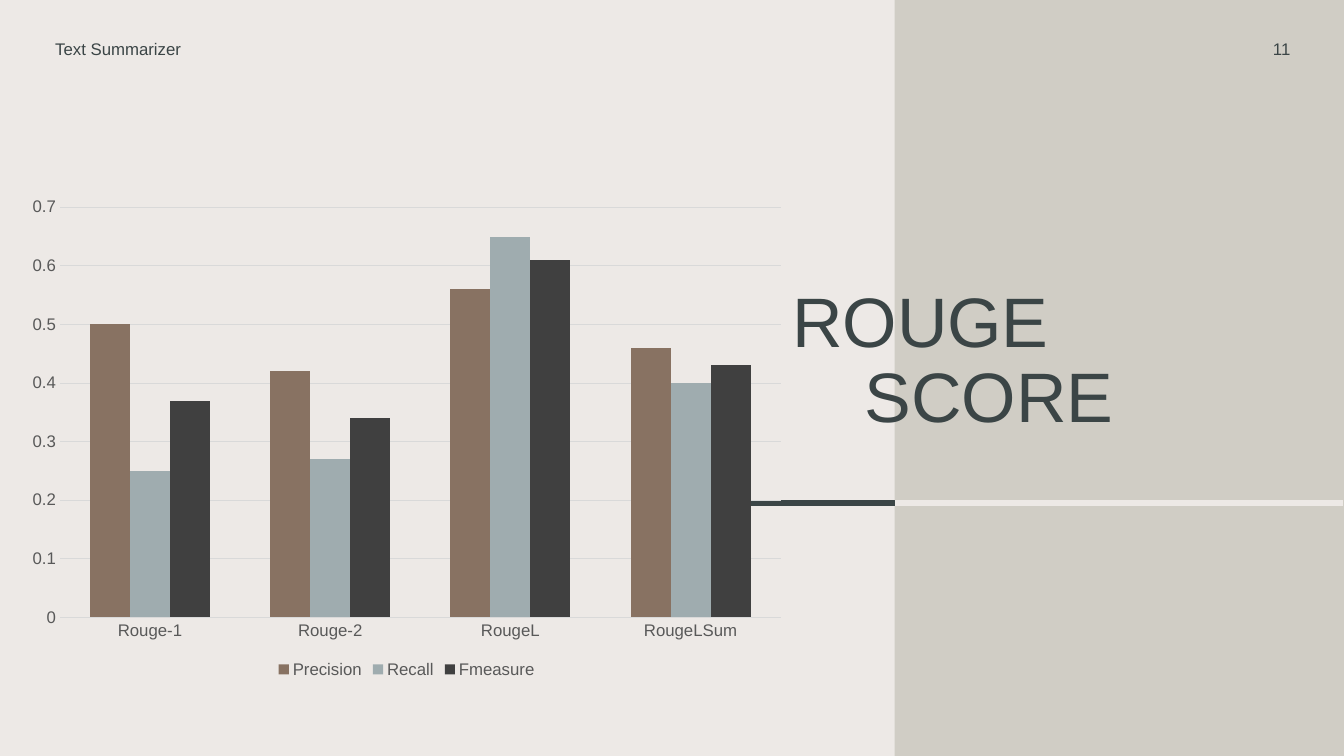
from lxml.etree import SubElement
from pptx import Presentation
from pptx.chart.data import CategoryChartData
from pptx.dml.color import RGBColor
from pptx.enum.chart import XL_CHART_TYPE, XL_LEGEND_POSITION, XL_TICK_MARK
from pptx.enum.shapes import MSO_CONNECTOR, MSO_SHAPE
from pptx.enum.text import MSO_ANCHOR, PP_ALIGN
from pptx.oxml.ns import qn
from pptx.util import Pt

FONT = "Arial"
INK, PAPER, PANEL = "3B4546", "EDE9E6", "D0CDC5"
AXIS_TEXT, GRID = "595959", "D9D9D9"
WIDTH, HEIGHT = 960, 540
PANEL_LEFT = 639
RULE_Y = 359.5

# text, left, top, width, height, size, line spacing, anchor, alignment
TEXTS = [
    ("Text Summarizer", 32.4, 23.76, 144, 21.6, 12, 1, MSO_ANCHOR.MIDDLE, PP_ALIGN.LEFT),
    ("11", 797, 23.76, 131.8, 21.6, 12, 1, MSO_ANCHOR.MIDDLE, PP_ALIGN.RIGHT),
    ("ROUGE", 558.7, 188.6, 337.7, 132.5, 50, 1.1, MSO_ANCHOR.TOP, PP_ALIGN.LEFT),
    ("SCORE", 610.6, 242.6, 337.7, 132.5, 50, 1.1, MSO_ANCHOR.TOP, PP_ALIGN.LEFT),
]
# start, end, colour
RULES = [(497.5, PANEL_LEFT, INK), (PANEL_LEFT, 959, PAPER)]

CHART_BOX = (12.2, 134.6, 556.6, 352.8)
CATEGORIES = ["Rouge-1", "Rouge-2", "RougeL", "RougeLSum"]
SERIES = [
    ("Precision", (0.5, 0.42, 0.56, 0.46), "887262"),
    ("Recall", (0.25, 0.27, 0.65, 0.4), "9FACAF"),
    ("Fmeasure", (0.37, 0.34, 0.61, 0.43), "404040"),
]


def rgb(value):
    return RGBColor.from_string(value)


def paint(fill, color):
    fill.solid()
    fill.fore_color.rgb = rgb(color)


def style_font(font, size, color):
    font.name, font.size = FONT, Pt(size)
    font.color.rgb = rgb(color)


def add_panel(s):
    sp = s.shapes.add_shape(MSO_SHAPE.RECTANGLE, Pt(PANEL_LEFT), Pt(0),
                            Pt(WIDTH - PANEL_LEFT), Pt(HEIGHT))
    sp.shadow.inherit = False
    paint(sp.fill, PANEL)
    sp.line.fill.background()


def add_rule(s, start, end, color):
    line = s.shapes.add_connector(MSO_CONNECTOR.STRAIGHT, Pt(start), Pt(RULE_Y),
                                  Pt(end), Pt(RULE_Y))
    line.line.width = Pt(4.5)
    line.line.color.rgb = rgb(color)
    SubElement(line.element.spPr, qn("a:effectLst"))


def add_text(s, text, left, top, width, height, size, spacing, anchor, align):
    tf = s.shapes.add_textbox(Pt(left), Pt(top), Pt(width), Pt(height)).text_frame
    tf.word_wrap = True
    tf.vertical_anchor = anchor
    p = tf.paragraphs[0]
    p.alignment, p.line_spacing = align, spacing
    r = p.add_run()
    r.text = text
    style_font(r.font, size, INK)


def add_score_chart(s):
    data = CategoryChartData()
    data.categories = CATEGORIES
    for name, values, _ in SERIES:
        data.add_series(name, values)
    chart = s.shapes.add_chart(XL_CHART_TYPE.COLUMN_CLUSTERED,
                               *map(Pt, CHART_BOX), data).chart
    style_font(chart.font, 12, AXIS_TEXT)
    chart.has_title = False

    plot = chart.plots[0]
    plot.vary_by_categories = False
    plot.gap_width, plot.overlap = 150, 0
    for series, (_, _, color) in zip(plot.series, SERIES):
        paint(series.format.fill, color)

    for axis in (chart.category_axis, chart.value_axis):
        axis.major_tick_mark = axis.minor_tick_mark = XL_TICK_MARK.NONE
        axis.format.line.fill.background()
        style_font(axis.tick_labels.font, 12, AXIS_TEXT)
    scale = chart.value_axis
    scale.minimum_scale, scale.maximum_scale, scale.major_unit = 0, 0.7, 0.1
    scale.has_major_gridlines = True
    grid = scale.major_gridlines.format.line
    grid.width = Pt(0.75)
    grid.color.rgb = rgb(GRID)

    chart.has_legend = True
    chart.legend.position = XL_LEGEND_POSITION.BOTTOM
    chart.legend.include_in_layout = False
    style_font(chart.legend.font, 12, AXIS_TEXT)


def main():
    prs = Presentation()
    prs.slide_width, prs.slide_height = Pt(WIDTH), Pt(HEIGHT)
    s = prs.slides.add_slide(prs.slide_layouts[6])
    paint(s.background.fill, PAPER)
    add_panel(s)
    for rule in RULES:
        add_rule(s, *rule)
    for text in TEXTS:
        add_text(s, *text)
    add_score_chart(s)
    prs.save("out.pptx")


if __name__ == "__main__":
    main()
